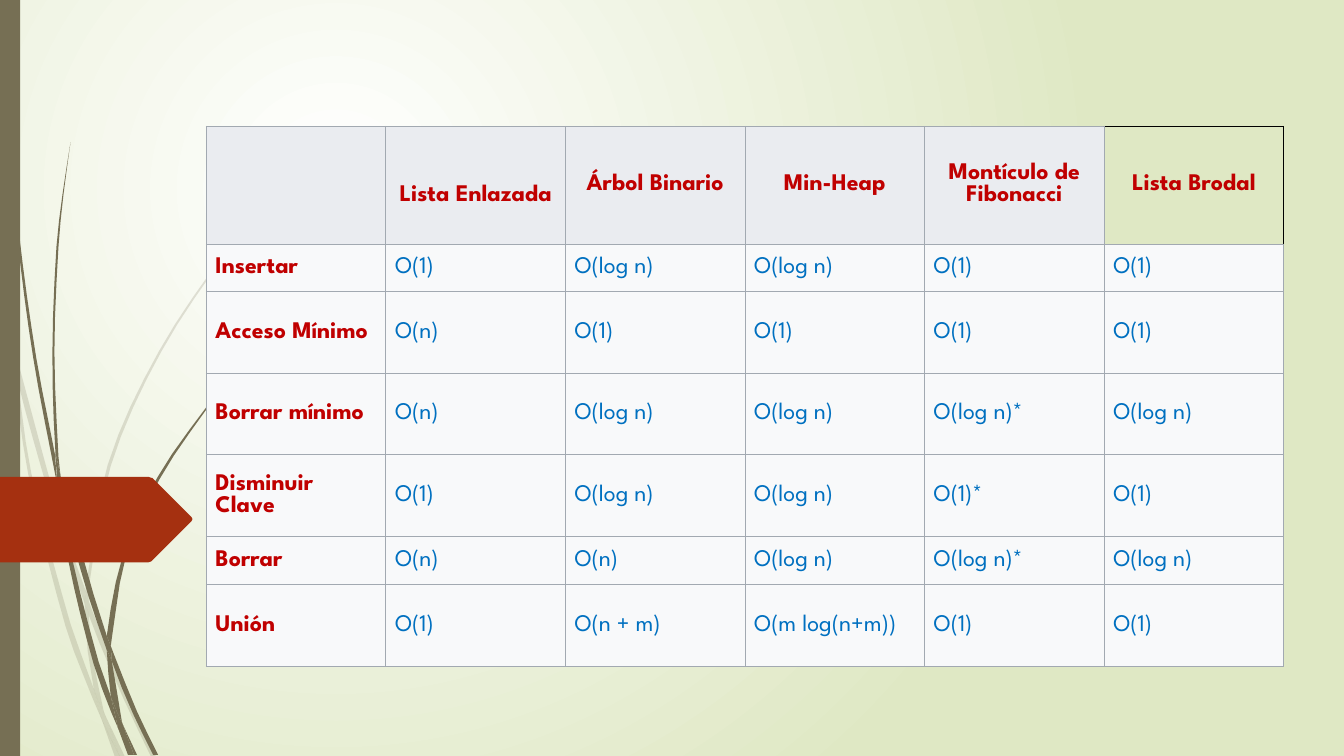
from dataclasses import dataclass
from itertools import pairwise
from math import dist

from lxml import etree
from pptx import Presentation
from pptx import util as u
from pptx.dml.color import RGBColor
from pptx.enum import shapes, text
from pptx.oxml.ns import qn

Point = tuple[float, float]


@dataclass(frozen=True)
class Theme:
    font: str = "League Spartan"
    size: float = 17
    rule_width: float = 0.75
    glow: str = "FFFFFF"
    meadow: str = "DFE8C4"
    stem: str = "766F54"
    marker: str = "A53010"
    heading: str = "C00000"
    cost: str = "0070C0"
    header_fill: str = "EAECF0"
    body_fill: str = "F8F9FA"
    rule: str = "A2A9B1"
    dark_rule: str = "000000"


@dataclass(frozen=True)
class Blade:
    outward: list[Point]
    back: list[Point]


@dataclass(frozen=True)
class Operation:
    name: str
    height: float
    costs: list[str]


THEME = Theme()
GRID = u.Cm(2.54) / 100
CURVE_STEP = 30
SIDES = ("L", "R", "T", "B")

FAINT_BLADES = [
    Blade([(11, 350), (9, 322), (0, 282)], [(0, 299), (10, 344), (11, 350)]),
    Blade([(14, 345), (17, 376), (58, 522), (84, 599)], [(85, 586), (62, 520), (14, 345)]),
    Blade([(88, 596), (88, 610), (123, 694), (150, 751)],
          [(155, 751), (127, 692), (92, 607), (88, 596)]),
    Blade([(105, 711), (119, 751)], [(124, 751), (105, 711)]),
    Blade([(11, 350), (28, 470), (65, 621), (92, 693), (101, 714)],
          [(101, 714), (99, 707), (93, 683), (70, 619), (31, 469), (17, 376), (11, 350)]),
    Blade([(84, 599), (87, 646), (93, 683), (96, 692), (105, 711)],
          [(105, 711), (103, 706), (91, 646), (88, 610), (88, 608), (84, 599)]),
    Blade([(88, 596), (88, 584), (110, 462), (160, 349), (229, 245), (268, 198), (290, 175),
           (312, 154)],
          [(312, 153), (289, 175), (268, 197), (228, 244), (158, 348), (107, 461), (85, 584),
           (85, 586), (88, 596)]),
    Blade([(101, 714), (114, 751)], [(119, 751), (101, 714)]),
    Blade([(85, 586), (84, 599), (88, 608), (88, 610)], [(88, 610), (88, 596), (85, 586)]),
    Blade([(93, 683), (99, 707), (101, 714), (119, 751)],
          [(119, 751), (105, 711), (96, 692), (93, 683)]),
]
DARK_BLADES = [
    Blade([(3, 0), (4, 48), (7, 110), (17, 233), (33, 355), (56, 477), (57, 481)],
          [(57, 481), (55, 457), (55, 453), (36, 355), (19, 232), (8, 109), (5, 48), (4, 0)]),
    Blade([(60, 472), (64, 505), (88, 592), (106, 645)],
          [(106, 633), (106, 631), (93, 590), (60, 472)]),
    Blade([(110, 641), (111, 656), (132, 708), (152, 749)],
          [(157, 749), (136, 706), (113, 649), (110, 641)]),
    Blade([(57, 477), (68, 557), (93, 659), (111, 708), (117, 722)],
          [(117, 722), (116, 717), (110, 691), (98, 657), (72, 556), (64, 505), (57, 477)]),
    Blade([(70, 141), (62, 193), (56, 245), (52, 349), (55, 449), (60, 472)],
          [(60, 472), (58, 453), (54, 349), (58, 245), (63, 193), (70, 141)]),
    Blade([(122, 719), (133, 749)], [(136, 749), (122, 719)]),
    Blade([(55, 449), (55, 453), (57, 477), (64, 505)], [(64, 505), (60, 472), (55, 449)]),
    Blade([(260, 344), (245, 358), (231, 373), (204, 405), (156, 474), (122, 551), (106, 631),
           (110, 641)],
          [(110, 641), (111, 633), (125, 552), (158, 476), (205, 406), (231, 374), (245, 359),
           (260, 344)]),
    Blade([(117, 722), (127, 749)], [(131, 749), (117, 722)]),
    Blade([(106, 645), (110, 691), (116, 706), (122, 719)],
          [(122, 719), (121, 716), (111, 656), (109, 651), (106, 645)]),
    Blade([(106, 631), (106, 645), (109, 651), (111, 656)],
          [(111, 656), (110, 641), (106, 631)]),
    Blade([(110, 691), (116, 717), (117, 722), (130, 749)],
          [(133, 749), (122, 719), (116, 706), (110, 691)]),
]
MARKER = [(0, 473), (147, 473), (150, 474), (151, 474), (190, 513), (191, 515), (190, 517),
          (151, 556), (150, 557), (147, 558), (0, 558)]

STRUCTURES = ["", "Lista Enlazada", "Árbol Binario", "Min-Heap", "Montículo de Fibonacci",
              "Lista Brodal"]
HEADER_HEIGHT = 2.97
OPERATIONS = [
    Operation("Insertar", 1.19, ["O(1)", "O(log n)", "O(log n)", "O(1)", "O(1)"]),
    Operation("Acceso Mínimo", 2.08, ["O(n)", "O(1)", "O(1)", "O(1)", "O(1)"]),
    Operation("Borrar mínimo", 2.03, ["O(n)", "O(log n)", "O(log n)", "O(log n)*", "O(log n)"]),
    Operation("Disminuir Clave", 2.08, ["O(1)", "O(log n)", "O(log n)", "O(1)*", "O(1)"]),
    Operation("Borrar", 1.19, ["O(n)", "O(n)", "O(log n)", "O(log n)*", "O(log n)"]),
    Operation("Unión", 2.08, ["O(1)", "O(n + m)", "O(m log(n+m))", "O(1)", "O(1)"]),
]


def rgb(value: str) -> RGBColor:
    return RGBColor.from_string(value)


def smooth(edge: list[Point]) -> list[Point]:
    last = len(edge) - 1
    slopes = []
    for i in range(last + 1):
        span = edge[max(i - 1, 0):min(i + 1, last) + 1]
        length = sum(dist(a, b) for a, b in pairwise(span))
        slopes.append([(b - a) / length for a, b in zip(span[0], span[-1])])
    curve = [edge[0]]
    for (a, b), (slope_a, slope_b) in zip(pairwise(edge), pairwise(slopes)):
        h = dist(a, b)
        steps = max(1, round(h / CURVE_STEP))
        for step in range(1, steps + 1):
            t = step / steps
            ease = t * t * (3 - 2 * t)
            curve.append(tuple(
                a[k] * (1 - ease) + b[k] * ease
                + h * t * (1 - t) * (slope_a[k] * (1 - t) - slope_b[k] * t)
                for k in (0, 1)))
    return curve


def paint(shape, color: str, opacity: int = 100) -> None:
    shape.shadow.inherit = False
    shape.line.fill.background()
    shape.fill.solid()
    shape.fill.fore_color.rgb = rgb(color)
    if opacity < 100:
        fill_color = shape.element.xpath("./p:spPr/a:solidFill/a:srgbClr")[0]
        etree.SubElement(fill_color, qn("a:alpha"), val=str(opacity * 1000))


def draw_outline(parent, points: list[Point], color: str, opacity: int = 100) -> None:
    start, *others = [(round(x * GRID), round(y * GRID)) for x, y in points]
    builder = parent.build_freeform(*start)
    builder.add_line_segments(others, close=True)
    paint(builder.convert_to_shape(), color, opacity)


def draw_blades(parent, blades: list[Blade], opacity: int) -> None:
    tuft = parent.add_group_shape().shapes
    for blade in blades:
        draw_outline(tuft, smooth(blade.outward) + smooth(blade.back), THEME.stem, opacity)


def draw_background(slide) -> None:
    fill = slide.background.fill
    fill.gradient()
    for stop, color in zip(fill.gradient_stops, (THEME.glow, THEME.meadow)):
        stop.color.rgb = rgb(color)
    linear = slide.element.xpath("./p:cSld/p:bg//a:lin")[0]
    radial = etree.Element(qn("a:path"), path="circle")
    etree.SubElement(radial, qn("a:fillToRect"), l="50000", t="50000", r="100000", b="100000")
    linear.getparent().replace(linear, radial)


def format_cell(cell, value: str, color: str, fill: str | None, header: bool, bold: bool) -> None:
    properties = cell._tc.get_or_add_tcPr()
    for side in SIDES:
        dark = fill is None and side in "RT"
        line = etree.SubElement(properties, qn(f"a:ln{side}"), w=str(u.Pt(THEME.rule_width)))
        solid = etree.SubElement(line, qn("a:solidFill"))
        etree.SubElement(solid, qn("a:srgbClr"), val=THEME.dark_rule if dark else THEME.rule)
    if fill is None:
        cell.fill.background()
    else:
        cell.fill.solid()
        cell.fill.fore_color.rgb = rgb(fill)
    cell.vertical_anchor = text.MSO_ANCHOR.MIDDLE
    cell.margin_left = cell.margin_right = u.Cm(0.23)
    cell.margin_top = cell.margin_bottom = u.Cm(0.13)
    cell.text_frame.text = value
    paragraph = cell.text_frame.paragraphs[0]
    paragraph.alignment = text.PP_ALIGN.CENTER if header else text.PP_ALIGN.LEFT
    for run in paragraph.runs:
        run.font.name, run.font.size, run.font.bold = THEME.font, u.Pt(THEME.size), bold
        run.font.color.rgb = rgb(color)


def draw_costs(parent) -> None:
    heights = [HEADER_HEIGHT] + [operation.height for operation in OPERATIONS]
    costs = parent.add_table(len(heights), len(STRUCTURES), u.Cm(5.2), u.Cm(3.18),
                             u.Cm(27.15), u.Cm(sum(heights))).table
    costs.first_row = costs.horz_banding = False
    for row, height in zip(costs.rows, heights):
        row.height = u.Cm(height)
    for column, structure in enumerate(STRUCTURES):
        fill = None if structure == STRUCTURES[-1] else THEME.header_fill
        format_cell(costs.cell(0, column), structure, THEME.heading, fill, True, True)
    costs.cell(0, 1).margin_top = u.Cm(0.69)
    for row, operation in enumerate(OPERATIONS, 1):
        for column, value in enumerate([operation.name, *operation.costs]):
            color = THEME.cost if column else THEME.heading
            format_cell(costs.cell(row, column), value, color, THEME.body_fill, False, column == 0)


deck = Presentation()
deck.slide_width, deck.slide_height = u.Cm(33.87), u.Cm(19.05)
slide = deck.slides.add_slide(deck.slide_layouts[6])
draw_background(slide)
draw_blades(slide.shapes, FAINT_BLADES, 20)
draw_blades(slide.shapes, DARK_BLADES, 100)
paint(slide.shapes.add_shape(shapes.MSO_SHAPE.RECTANGLE, 0, 0, u.Cm(0.51), deck.slide_height),
      THEME.stem)
draw_outline(slide.shapes, MARKER, THEME.marker)
draw_costs(slide.shapes)
deck.save("out.pptx")
